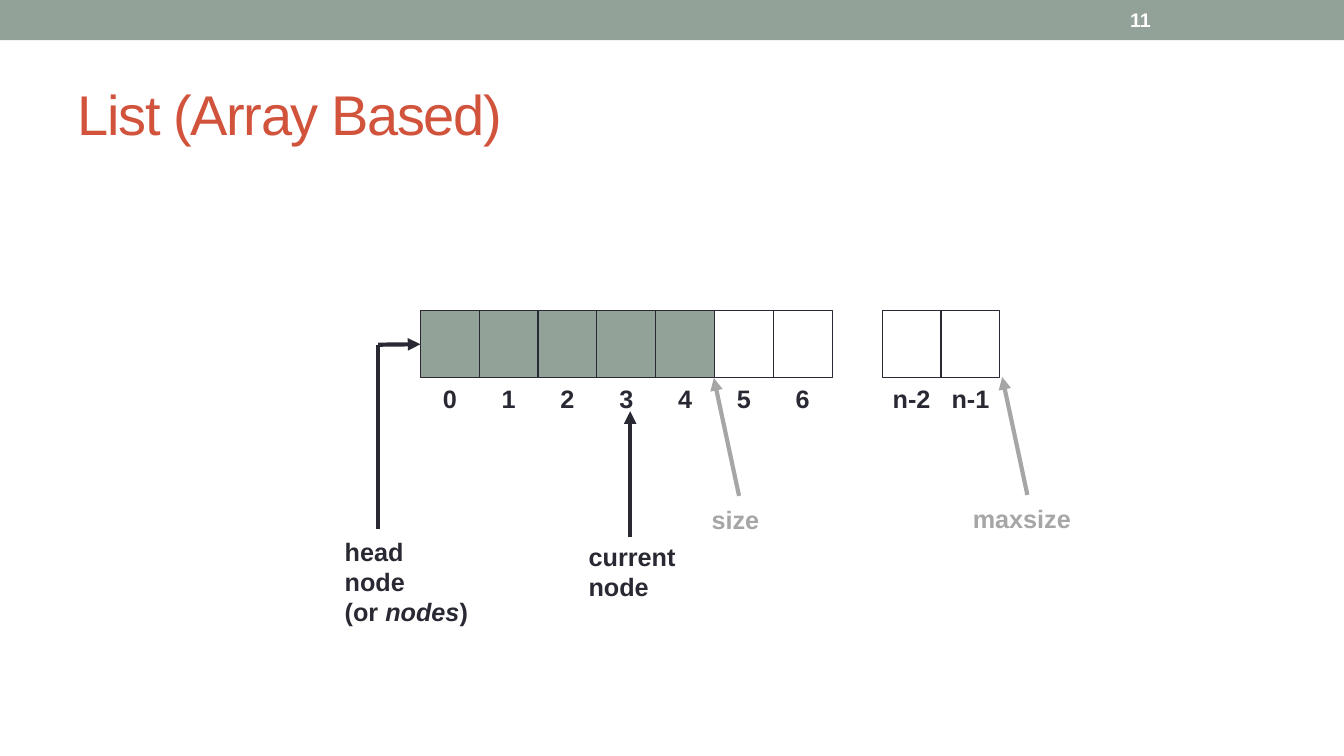
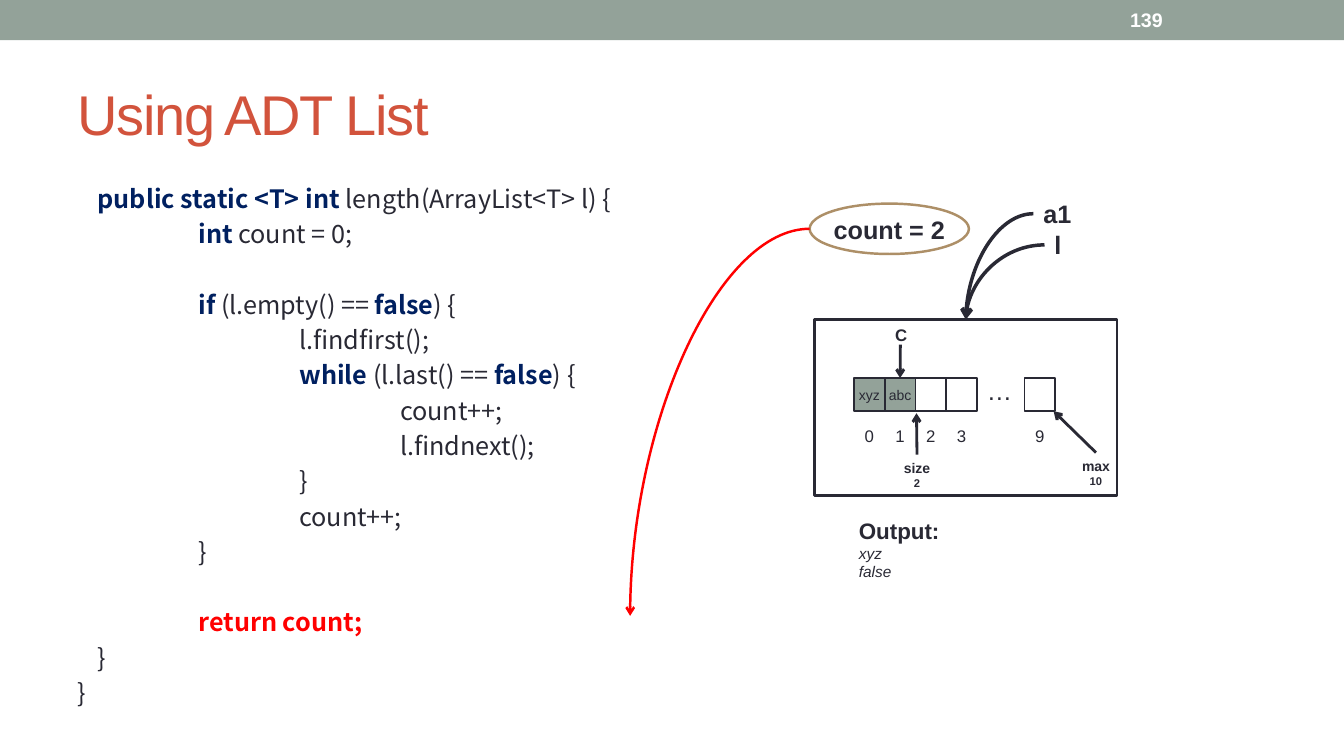
from dataclasses import dataclass
from typing import Optional

from lxml import etree
from pptx import Presentation
from pptx.dml.color import RGBColor
from pptx.enum import shapes, text
from pptx.oxml import ns
from pptx.util import Inches, Pt

SAGE = RGBColor(0x93, 0xA2, 0x99)
RUST = RGBColor(0xD2, 0x53, 0x3C)
INK = RGBColor(0x29, 0x29, 0x34)
GRAY = RGBColor(0xA6, 0xA6, 0xA6)
NAVY = RGBColor(0x00, 0x20, 0x60)
RED = RGBColor(0xFF, 0x00, 0x00)
TAN = RGBColor(0xAD, 0x8F, 0x67)
WHITE = RGBColor(0xFF, 0xFF, 0xFF)
SANS = "Arial"
CODE_FONT = "Noto Sans CJK SC"
CODE_PITCH = 25.2
SHAPE = shapes.MSO_SHAPE
CENTER = text.PP_ALIGN.CENTER
MIDDLE = text.MSO_ANCHOR.MIDDLE


@dataclass(frozen=True)
class Cell:
    caption: str
    filled: bool = False
    content: str = ""


@dataclass(frozen=True)
class CellStyle:
    top: float
    width: float
    height: float
    line: float
    caption_gap: float
    caption_size: float
    caption_bold: bool


@dataclass(frozen=True)
class Span:
    content: str
    color: RGBColor = INK
    bold: bool = False


@dataclass(frozen=True)
class CodeLine:
    level: int
    spans: tuple
    blank_before: bool = False


ARRAY = CellStyle(3.08, 7 / 12, 0.67, 0.75, 0, 18, True)
SMALL_ARRAY = CellStyle(3.75, 1.22 / 4, 0.33, 1.25, 0.09, 12, False)


def keyword(content: str) -> Span:
    return Span(content, NAVY, True)


CODE = (
    CodeLine(1, (keyword("public static <T> int"), Span(" length(ArrayList<T> l) {"))),
    CodeLine(2, (keyword("int"), Span(" count = 0;"))),
    CodeLine(2, (keyword("if"), Span(" (l.empty() == "), keyword("false"), Span(") {")), True),
    CodeLine(3, (Span("l.findfirst();"),)),
    CodeLine(3, (keyword("while"), Span(" (l.last() == "), keyword("false"), Span(") {"))),
    CodeLine(4, (Span("count++;"),)),
    CodeLine(4, (Span("l.findnext();"),)),
    CodeLine(3, (Span("}"),)),
    CodeLine(3, (Span("count++;"),)),
    CodeLine(2, (Span("}"),)),
    CodeLine(2, (Span("return count;", RED, True),), True),
    CodeLine(1, (Span("}"),)),
    CodeLine(0, (Span("}"),)),
)


def write(para, content: str, *, size: float = 18, color: RGBColor = INK, bold: bool = False,
          italic: bool = False, font: str = SANS, tracking: Optional[int] = None) -> None:
    span = para.add_run()
    span.text = content
    span.font.name = font
    span.font.size = Pt(size)
    span.font.bold = bold
    span.font.italic = italic
    span.font.color.rgb = color
    if tracking is not None:
        span.font._element.set("spc", str(tracking))


def add_box(page, left: float, top: float, width: float, height: float, wrap: bool = False):
    box = page.shapes.add_textbox(Inches(left), Inches(top), Inches(width), Inches(height))
    box.text_frame.word_wrap = wrap
    return box


def add_label(page, left: float, top: float, width: float, height: float, *lines: str,
              wrap: bool = False, align=None, **style):
    box = add_box(page, left, top, width, height, wrap)
    for index, line in enumerate(lines):
        para = box.text_frame.paragraphs[0] if index == 0 else box.text_frame.add_paragraph()
        para.alignment = align
        write(para, line, **style)
    return box


def add_figure(page, kind, left: float, top: float, width: float, height: float, *,
               fill: Optional[RGBColor] = None, line: Optional[RGBColor] = None,
               weight: float = 1):
    figure = page.shapes.add_shape(kind, Inches(left), Inches(top), Inches(width), Inches(height))
    figure.shadow.inherit = False
    if fill is None:
        figure.fill.background()
    else:
        figure.fill.solid()
        figure.fill.fore_color.rgb = fill
    if line is None:
        figure.line.fill.background()
    else:
        figure.line.color.rgb = line
        figure.line.width = Pt(weight)
    return figure


def add_cells(page, left: float, cells: tuple, style: CellStyle) -> list:
    figures = []
    for index, cell in enumerate(cells):
        x = left + index * style.width
        figure = add_figure(page, SHAPE.RECTANGLE, x, style.top, style.width, style.height,
                            fill=SAGE if cell.filled else None, line=INK, weight=style.line)
        if cell.content:
            frame = figure.text_frame
            frame.word_wrap = False
            frame.margin_left = frame.margin_right = 0
            frame.vertical_anchor = MIDDLE
            frame.paragraphs[0].alignment = CENTER
            write(frame.paragraphs[0], cell.content, size=10)
        add_label(page, x - 0.1, style.top + style.height + style.caption_gap,
                  style.width + 0.2, 0.4, cell.caption, wrap=True, align=CENTER,
                  size=style.caption_size, bold=style.caption_bold)
        figures.append(figure)
    return figures


def add_line(page, start: tuple, end: tuple, *, color: RGBColor = INK, weight: float = 3,
             arrow: Optional[str] = "triangle", curved: bool = False,
             begin_at: Optional[tuple] = None, end_at: Optional[tuple] = None) -> None:
    kind = shapes.MSO_CONNECTOR.CURVE if curved else shapes.MSO_CONNECTOR.STRAIGHT
    line = page.shapes.add_connector(kind, *(Inches(value) for value in (*start, *end)))
    if begin_at:
        line.begin_connect(*begin_at)
    if end_at:
        line.end_connect(*end_at)
    line.line.color.rgb = color
    line.line.width = Pt(weight)
    properties = line._element.spPr
    if curved:
        properties.find(ns.qn("a:prstGeom")).set("prst", "curvedConnector2")
    if arrow:
        etree.SubElement(properties.find(ns.qn("a:ln")), ns.qn("a:tailEnd"), type=arrow)
    etree.SubElement(properties, ns.qn("a:effectLst"))


def add_page(deck, title: str, number: str):
    page = deck.slides.add_slide(deck.slide_layouts[5])
    add_figure(page, SHAPE.RECTANGLE, 0, 0, 13.33, 0.4, fill=SAGE)
    heading = page.shapes.title
    heading.left, heading.top = Inches(0.67), Inches(0.58)
    heading.width, heading.height = Inches(12), Inches(1.08)
    frame = heading.text_frame
    frame.auto_size = text.MSO_AUTO_SIZE.NONE
    frame.vertical_anchor = MIDDLE
    frame.paragraphs[0].alignment = text.PP_ALIGN.LEFT
    write(frame.paragraphs[0], title, size=40, color=RUST, tracking=-100)
    label = add_label(page, 11.11, 0.02, 1.56, 0.36, number, wrap=True,
                      size=14, color=WHITE, bold=True)
    label.text_frame.vertical_anchor = MIDDLE
    return page


def add_code(page) -> None:
    frame = add_box(page, 0.67, 1.72, 12, 5.33, True).text_frame
    for index, line in enumerate(CODE):
        para = frame.paragraphs[0] if index == 0 else frame.add_paragraph()
        para.line_spacing = Pt(CODE_PITCH)
        if line.blank_before:
            para.space_before = Pt(CODE_PITCH)
        indent = line.level - 0.8 if line.level else 0
        para._p.get_or_add_pPr().set("marL", str(Inches(indent)))
        for span in line.spans:
            write(para, span.content, color=span.color, bold=span.bold, font=CODE_FONT)


def build_array_page(deck) -> None:
    page = add_page(deck, "List (Array Based)", "11")
    cells = add_cells(page, 4.17, tuple(Cell(str(i), i < 5) for i in range(7)), ARRAY)
    add_cells(page, 8.75, (Cell("n-2"), Cell("n-1")), ARRAY)

    add_line(page, (3.75, 5.25), (3.75, 3.42), arrow=None)
    add_line(page, (3.75, 3.42), (4.17, 3.42), end_at=(cells[0], 1))
    head = add_label(page, 3.32, 5.27, 1.45, 1.01, "head", "node", "(or ", bold=True)
    last = head.text_frame.paragraphs[-1]
    write(last, "nodes", bold=True, italic=True)
    write(last, ")", bold=True)

    add_line(page, (6.25, 5.33), (6.25, 4.08))
    add_label(page, 5.74, 5.32, 1.1, 0.71, "current", "node", wrap=True, bold=True)
    add_line(page, (7.33, 4.92), (7.08, 3.75), color=GRAY)
    add_label(page, 6.96, 4.95, 0.76, 0.4, "size", wrap=True, color=GRAY, bold=True)
    add_line(page, (10.19, 4.91), (9.94, 3.74), color=GRAY)
    add_label(page, 9.55, 4.94, 1.31, 0.4, "maxsize", wrap=True, color=GRAY, bold=True)


def add_counter(page, left: float, top: float, width: float, name: str, value: str):
    box = add_label(page, left, top, width, 0.4, name, align=CENTER, size=10, bold=True)
    para = box.text_frame.add_paragraph()
    para.alignment = CENTER
    write(para, value, size=8, bold=True)
    return box


def build_usage_page(deck) -> None:
    page = add_page(deck, "Using ADT List", "139")
    add_code(page)

    add_figure(page, SHAPE.RECTANGLE, 8.08, 3.17, 3, 1.75, line=INK, weight=2)
    cells = add_cells(page, 8.47, (Cell("0", True, "xyz"), Cell("1", True, "abc"),
                                   Cell("2"), Cell("3")), SMALL_ARRAY)
    add_cells(page, 10.16, (Cell("9"),), SMALL_ARRAY)
    add_label(page, 9.69, 3.67, 0.45, 0.4, "…")

    add_label(page, 8.78, 3.17, 0.32, 0.3, "C", size=12, bold=True)
    add_line(page, (8.93, 3.42), (8.93, 3.75), weight=2, arrow="arrow", end_at=(cells[1], 0))
    size = add_counter(page, 8.86, 4.51, 0.47, "size", "2")
    add_line(page, (9.1, 4.51), (9.09, 4.1), weight=2, arrow="arrow", begin_at=(size, 0))
    limit = add_counter(page, 10.62, 4.49, 0.5, "max", "10")
    add_line(page, (10.87, 4.49), (10.45, 4.08), weight=2, arrow="arrow", begin_at=(limit, 0))

    output = add_label(page, 8.42, 5.08, 2.08, 0.74, "Output:", wrap=True, size=16, bold=True)
    for result in ("xyz", "false"):
        write(output.text_frame.add_paragraph(), result, size=11, italic=True)

    add_figure(page, SHAPE.OVAL, 8.03, 2.02, 1.58, 0.5, line=TAN, weight=1.75)
    add_label(page, 8.17, 2.08, 1.32, 0.4, "count = 2", bold=True)
    add_line(page, (8.03, 2.27), (6.25, 6.11), color=RED, weight=1.75, arrow="arrow", curved=True)
    for name, left, top, width in (("a1", 10.25, 1.92, 0.48), ("l", 10.36, 2.23, 0.28)):
        add_label(page, left, top, width, 0.4, name, bold=True)
        add_line(page, (left, top + 0.2), (9.58, 3.17), weight=2.5, arrow="arrow", curved=True)


def main() -> None:
    deck = Presentation()
    deck.slide_width, deck.slide_height = Inches(13.33), Inches(7.5)
    build_array_page(deck)
    build_usage_page(deck)
    deck.save("out.pptx")


if __name__ == "__main__":
    main()
